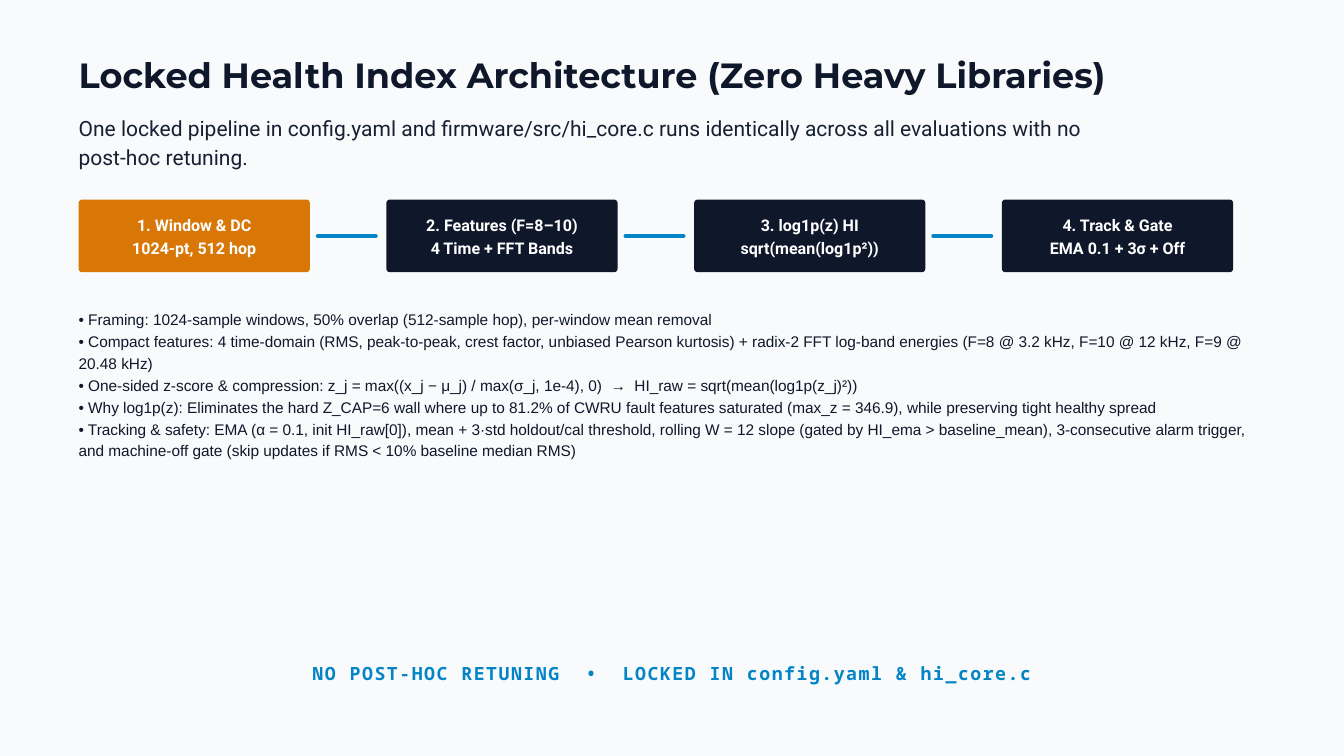
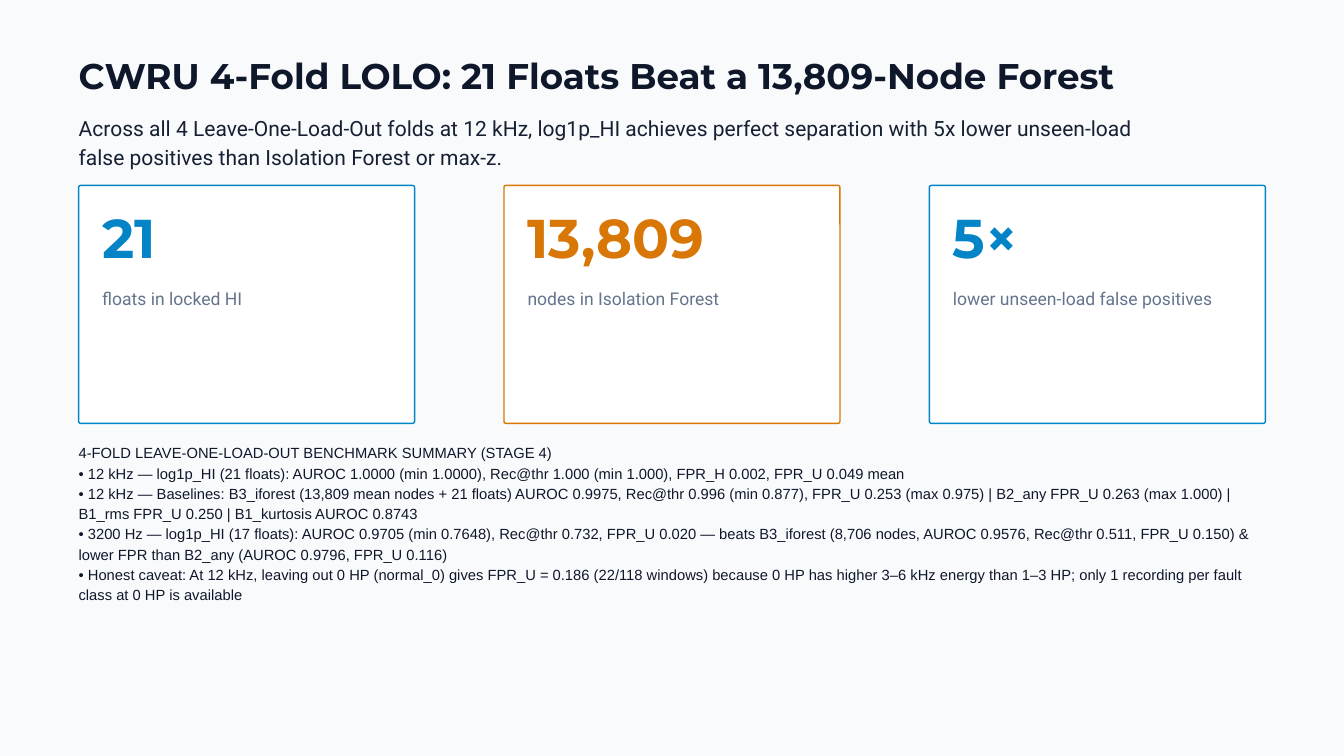
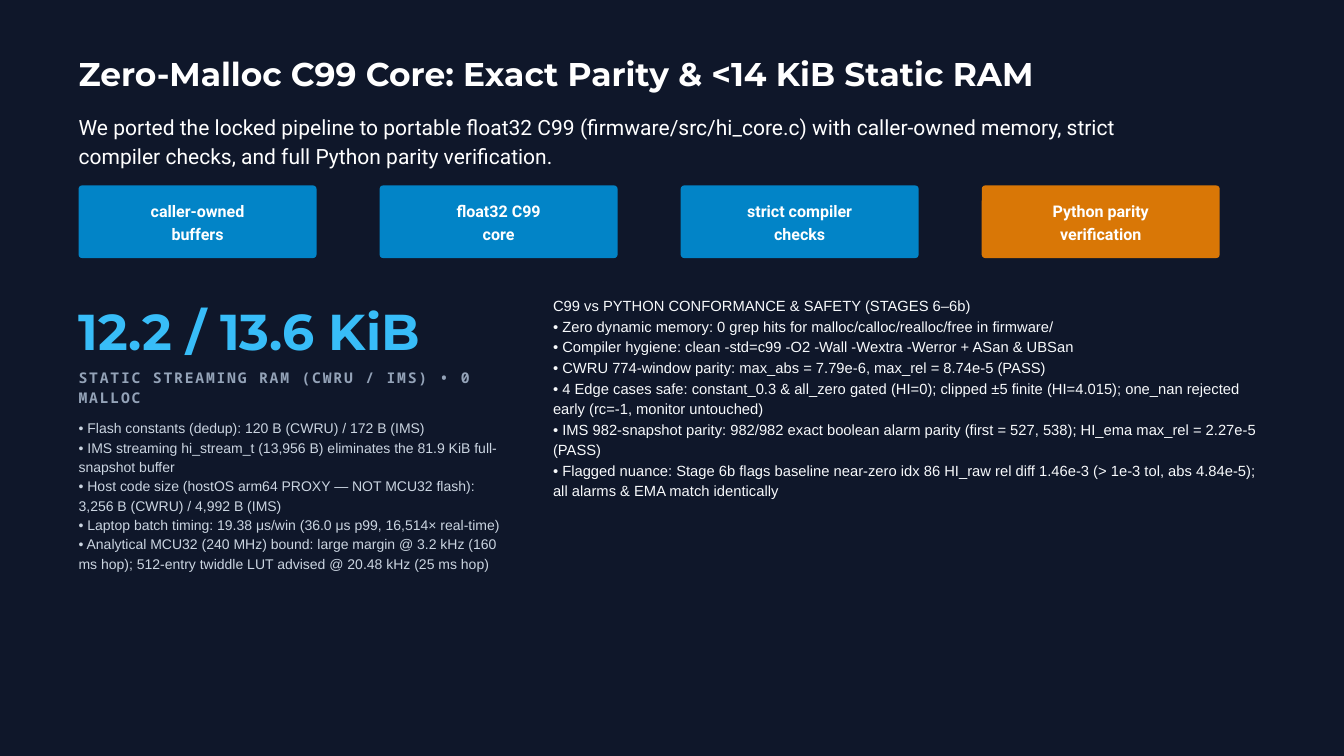
import pptx
import pptx.dml.color
import pptx.enum.shapes
import pptx.enum.text
import pptx.oxml.ns
import pptx.util

Inches = pptx.util.Inches
Pt = pptx.util.Pt
ALIGN = pptx.enum.text.PP_ALIGN
ANCHOR = pptx.enum.text.MSO_ANCHOR
SHAPE = pptx.enum.shapes.MSO_SHAPE
CONNECTOR = pptx.enum.shapes.MSO_CONNECTOR

PALE, NAVY, INK, WHITE = "F8FAFC", "0F172A", "172033", "FFFFFF"
BLUE, ORANGE, SKY = "0284C7", "D97706", "38BDF8"
SLATE, MIST, CLOUD = "64748B", "94A3B8", "CBD5E1"
HEADING, BODY, MONO, NOTES = "Montserrat", "Roboto", "Noto Sans Mono", "Arial"
MARGIN = 1.17


def rgb(color):
    return pptx.dml.color.RGBColor.from_string(color)


def spread(count, width, right):
    step = (right - MARGIN - width) / (count - 1)
    return [MARGIN + index * step for index in range(count)]


class Builder:
    def __init__(self):
        self.deck = pptx.Presentation()
        self.deck.slide_width = Inches(20)
        self.deck.slide_height = Inches(11.25)

    def page(self, background):
        self.slide = self.deck.slides.add_slide(self.deck.slide_layouts[6])
        fill = self.slide.background.fill
        fill.solid()
        fill.fore_color.rgb = rgb(background)

    def fill_text(self, frame, lines, font, size, leading, color, bold=False,
                  align=ALIGN.LEFT, tracking=0):
        frame.word_wrap = True
        for index, line in enumerate(lines):
            para = frame.add_paragraph() if index else frame.paragraphs[0]
            para.alignment = align
            para.line_spacing = Pt(leading)
            span = para.add_run()
            span.text = line
            para.font.name = font
            para.font.size = Pt(size)
            para.font.bold = bold
            para.font.color.rgb = rgb(color)
            if tracking:
                span._r.get_or_add_rPr().set("spc", str(round(tracking * 100)))

    def text(self, left, top, width, height, lines, *style, **options):
        box = self.slide.shapes.add_textbox(
            Inches(left), Inches(top), Inches(width), Inches(height))
        frame = box.text_frame
        frame.margin_left = frame.margin_right = 0
        frame.margin_top = frame.margin_bottom = 0
        self.fill_text(frame, lines, *style, **options)

    def header(self, title, title_top, size, leading, subtitle, subtitle_top,
               width, title_color=NAVY, subtitle_color=INK):
        self.text(MARGIN, title_top, 15.62, 0.57, [title],
                  HEADING, size, leading, title_color, bold=True)
        self.text(MARGIN, subtitle_top, width, 0.84, [subtitle],
                  BODY, 22.5, 31, subtitle_color)

    def panel(self, left, top, width, height, radius, fill, border=None):
        box = self.slide.shapes.add_shape(
            SHAPE.ROUNDED_RECTANGLE,
            Inches(left), Inches(top), Inches(width), Inches(height))
        box.adjustments[0] = radius / min(width, height)
        box.shadow.inherit = False
        box.fill.solid()
        box.fill.fore_color.rgb = rgb(fill)
        if border:
            box.line.color.rgb = rgb(border)
            box.line.width = Pt(1.5)
        else:
            box.line.fill.background()
        return box

    def step(self, left, top, width, lines, fill):
        frame = self.panel(left, top, width, 1.08, 0.05, fill).text_frame
        frame.margin_left = frame.margin_right = frame.margin_top = Inches(0.06)
        frame.margin_bottom = Inches(0.09)
        frame.vertical_anchor = ANCHOR.MIDDLE
        self.fill_text(frame, lines, BODY, 17.2, 24.1, WHITE, bold=True,
                       align=ALIGN.CENTER)

    def card(self, left, number, label, accent):
        self.panel(left, 2.76, 5, 3.54, 0.03, WHITE, accent)
        self.text(left + 0.35, 3.2, 4.29, 0.89, [number],
                  HEADING, 58.5, 58.5, accent, bold=True)
        self.text(left + 0.35, 4.28, 4.29, 0.31, [label], BODY, 18.8, 23.4, SLATE)

    def link(self, left, right, y):
        line = self.slide.shapes.add_connector(
            CONNECTOR.STRAIGHT, Inches(left), Inches(y), Inches(right), Inches(y))
        line.line.color.rgb = rgb(BLUE)
        line.line.width = Pt(4.5)
        properties = line._element.spPr
        properties.find(pptx.oxml.ns.qn("a:ln")).set("cap", "rnd")
        properties.append(pptx.oxml.xmlchemy.OxmlElement("a:effectLst"))


def architecture(builder):
    builder.page(PALE)
    builder.header(
        "Locked Health Index Architecture (Zero Heavy Libraries)", 0.86, 37.5, 40.5,
        "One locked pipeline in config.yaml and firmware/src/hi_core.c runs identically "
        "across all evaluations with no post-hoc retuning.", 1.67, 15.1)
    stages = [
        (["1. Window & DC", "1024-pt, 512 hop"], ORANGE),
        (["2. Features (F=8–10)", "4 Time + FFT Bands"], NAVY),
        (["3. log1p(z) HI", "sqrt(mean(log1p²))"], NAVY),
        (["4. Track & Gate", "EMA 0.1 + 3σ + Off"], NAVY),
    ]
    width = 3.44
    lefts = spread(len(stages), width, 18.35)
    for left, (lines, fill) in zip(lefts, stages):
        builder.step(left, 2.97, width, lines, fill)
    for left in lefts[:-1]:
        builder.link(left + width + 0.12, left + width + 0.98, 3.51)
    builder.text(MARGIN, 9.8, 17.67, 0.36,
                 ["NO POST-HOC RETUNING  •  LOCKED IN config.yaml & hi_core.c"],
                 MONO, 19.5, 27.3, BLUE, bold=True, align=ALIGN.CENTER, tracking=1.6)
    builder.text(MARGIN, 4.57, 17.67, 2.27, [
        "• Framing: 1024-sample windows, 50% overlap (512-sample hop), per-window mean removal",
        "• Compact features: 4 time-domain (RMS, peak-to-peak, crest factor, unbiased Pearson "
        "kurtosis) + radix-2 FFT log-band energies (F=8 @ 3.2 kHz, F=10 @ 12 kHz, "
        "F=9 @ 20.48 kHz)",
        "• One-sided z-score & compression: z_j = max((x_j − μ_j) / max(σ_j, 1e-4), 0)  →  "
        "HI_raw = sqrt(mean(log1p(z_j)²))",
        "• Why log1p(z): Eliminates the hard Z_CAP=6 wall where up to 81.2% of CWRU fault "
        "features saturated (max_z = 346.9), while preserving tight healthy spread",
        "• Tracking & safety: EMA (α = 0.1, init HI_raw[0]), mean + 3·std holdout/cal "
        "threshold, rolling W = 12 slope (gated by HI_ema > baseline_mean), 3-consecutive "
        "alarm trigger, and machine-off gate (skip updates if RMS < 10% baseline median RMS)",
    ], NOTES, 16.5, 23.4, NAVY)


def benchmark(builder):
    builder.page(PALE)
    builder.header(
        "CWRU 4-Fold LOLO: 21 Floats Beat a 13,809-Node Forest", 0.86, 38.2, 41.3,
        "Across all 4 Leave-One-Load-Out folds at 12 kHz, log1p_HI achieves perfect "
        "separation with 5x lower unseen-load false positives than Isolation Forest or max-z.",
        1.66, 16.25)
    cards = [
        ("21", "floats in locked HI", BLUE),
        ("13,809", "nodes in Isolation Forest", ORANGE),
        ("5×", "lower unseen-load false positives", BLUE),
    ]
    for left, card in zip(spread(len(cards), 5, 18.83), cards):
        builder.card(left, *card)
    builder.text(MARGIN, 6.57, 17.67, 2.34, [
        "4-FOLD LEAVE-ONE-LOAD-OUT BENCHMARK SUMMARY (STAGE 4)",
        "• 12 kHz — log1p_HI (21 floats): AUROC 1.0000 (min 1.0000), Rec@thr 1.000 "
        "(min 1.000), FPR_H 0.002, FPR_U 0.049 mean",
        "• 12 kHz — Baselines: B3_iforest (13,809 mean nodes + 21 floats) AUROC 0.9975, "
        "Rec@thr 0.996 (min 0.877), FPR_U 0.253 (max 0.975) | B2_any FPR_U 0.263 "
        "(max 1.000) | B1_rms FPR_U 0.250 | B1_kurtosis AUROC 0.8743",
        "• 3200 Hz — log1p_HI (17 floats): AUROC 0.9705 (min 0.7648), Rec@thr 0.732, "
        "FPR_U 0.020 — beats B3_iforest (8,706 nodes, AUROC 0.9576, Rec@thr 0.511, "
        "FPR_U 0.150) & lower FPR than B2_any (AUROC 0.9796, FPR_U 0.116)",
        "• Honest caveat: At 12 kHz, leaving out 0 HP (normal_0) gives FPR_U = 0.186 "
        "(22/118 windows) because 0 HP has higher 3–6 kHz energy than 1–3 HP; only 1 "
        "recording per fault class at 0 HP is available",
    ], NOTES, 15.8, 21.7, NAVY)


def firmware(builder):
    builder.page(NAVY)
    builder.header(
        "Zero-Malloc C99 Core: Exact Parity & <14 KiB Static RAM", 0.85, 35.2, 38.1,
        "We ported the locked pipeline to portable float32 C99 (firmware/src/hi_core.c) with "
        "caller-owned memory, strict compiler checks, and full Python parity verification.",
        1.65, 16.04, WHITE, WHITE)
    features = [
        (["caller-owned", "buffers"], BLUE),
        (["float32 C99", "core"], BLUE),
        (["strict compiler", "checks"], BLUE),
        (["Python parity", "verification"], ORANGE),
    ]
    for left, (lines, fill) in zip(spread(len(features), 3.54, 18.15), features):
        builder.step(left, 2.76, 3.54, lines, fill)
    builder.text(MARGIN, 4.31, 6.46, 1.01, ["12.2 / 13.6 KiB"],
                 HEADING, 54, 75.6, SKY, bold=True)
    builder.text(MARGIN, 5.44, 6.46, 0.59, ["STATIC STREAMING RAM (CWRU / IMS) • 0 MALLOC"],
                 MONO, 15.8, 22, MIST, bold=True, tracking=1.9)
    builder.text(MARGIN, 6.21, 6.46, 2.25, [
        "• Flash constants (dedup): 120 B (CWRU) / 172 B (IMS)",
        "• IMS streaming hi_stream_t (13,956 B) eliminates the 81.9 KiB full-snapshot buffer",
        "• Host code size (hostOS arm64 PROXY — NOT MCU32 flash): 3,256 B (CWRU) / "
        "4,992 B (IMS)",
        "• Laptop batch timing: 19.38 μs/win (36.0 μs p99, 16,514× real-time)",
        "• Analytical MCU32 (240 MHz) bound: large margin @ 3.2 kHz (160 ms hop); 512-entry "
        "twiddle LUT advised @ 20.48 kHz (25 ms hop)",
    ], NOTES, 15, 20.7, CLOUD)
    builder.text(8.23, 4.38, 10.62, 3.03, [
        "C99 vs PYTHON CONFORMANCE & SAFETY (STAGES 6–6b)",
        "• Zero dynamic memory: 0 grep hits for malloc/calloc/realloc/free in firmware/",
        "• Compiler hygiene: clean -std=c99 -O2 -Wall -Wextra -Werror + ASan & UBSan",
        "• CWRU 774-window parity: max_abs = 7.79e-6, max_rel = 8.74e-5 (PASS)",
        "• 4 Edge cases safe: constant_0.3 & all_zero gated (HI=0); clipped ±5 finite "
        "(HI=4.015); one_nan rejected early (rc=-1, monitor untouched)",
        "• IMS 982-snapshot parity: 982/982 exact boolean alarm parity (first = 527, 538); "
        "HI_ema max_rel = 2.27e-5 (PASS)",
        "• Flagged nuance: Stage 6b flags baseline near-zero idx 86 HI_raw rel diff 1.46e-3 "
        "(> 1e-3 tol, abs 4.84e-5); all alarms & EMA match identically",
    ], NOTES, 15.8, 22, PALE)


def main():
    builder = Builder()
    architecture(builder)
    benchmark(builder)
    firmware(builder)
    builder.deck.save("out.pptx")


if __name__ == "__main__":
    main()
